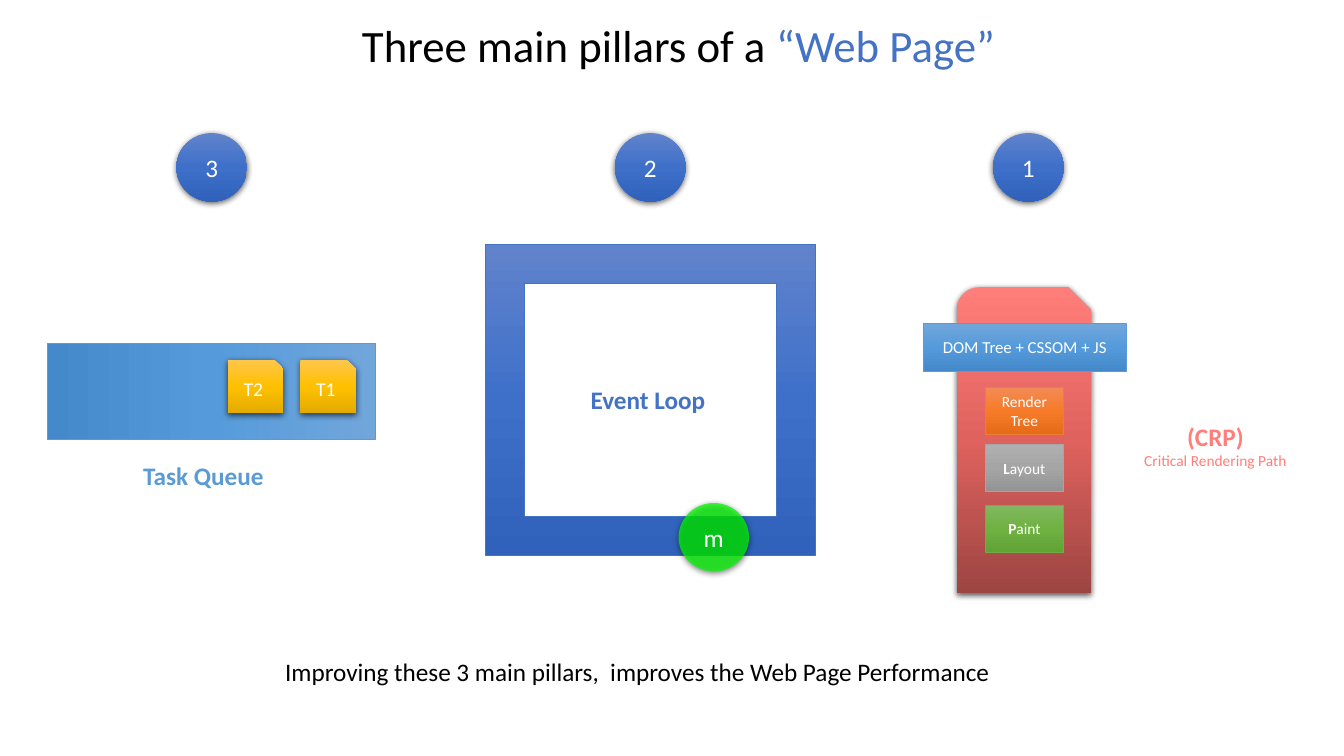
from collections import namedtuple
from lxml.etree import SubElement
from pptx import Presentation
from pptx.dml.color import RGBColor
from pptx.enum.shapes import MSO_SHAPE as Shape
from pptx.enum.text import MSO_ANCHOR as Anchor, PP_ALIGN as Align
from pptx.oxml.ns import qn
from pptx.util import Inches, Pt

Box = namedtuple("Box", "left top width height")

FONT = "Calibri"
WHITE, BLACK = "FFFFFF", "000000"
BLUE, SKY, CORAL = "4472C4", "5B9BD5", "FF7E79"
BLUE_FADE = ("6183CB", "3E70CA", "3062BB")
SKY_FADE = ("71A6DB", "559BDB", "448ACA")
GOLD_FADE = ("FFC64B", "FFC000", "E3AB00")
CORAL_FADE = ("FF7E79", "DF625E", "9D4542")
BADGE_WIDTH, BADGE_HEIGHT = 0.7, 0.68


def color(value):
    return RGBColor.from_string(value)


def inner(box, left, top, width, height):
    return Box(box.left + left, box.top + top, width, height)


def add_fade(shape, colors):
    shape.fill.gradient()
    shape.fill.gradient_angle = 270
    stops = shape._element.spPr.find(qn("a:gradFill")).find(qn("a:gsLst"))
    for stop in list(stops):
        stops.remove(stop)
    for index, value in enumerate(colors):
        stop = SubElement(stops, qn("a:gs"), pos=str(index * 50000))
        SubElement(stop, qn("a:srgbClr"), val=value)


def add_shadow(shape):
    effects = shape._element.spPr.find(qn("a:effectLst"))
    outer = SubElement(effects, qn("a:outerShdw"), blurRad=str(Pt(4.5)),
                       dist=str(Pt(1.5)), dir="5400000", rotWithShape="0")
    tint = SubElement(outer, qn("a:srgbClr"), val=BLACK)
    SubElement(tint, qn("a:alpha"), val="63000")


def write(para, spans, size, ink, bold=None, align=Align.CENTER):
    para.alignment = align
    para.font.name = FONT
    para.font.size = Pt(size)
    para.font.color.rgb = color(ink)
    para.font.bold = bold
    for text, is_bold in spans:
        span = para.add_run()
        span.text = text
        if is_bold:
            span.font.bold = True


def add_block(page, kind, box, fade=None, line=None, shadow=False, spans=(), size=18):
    shape = page.shapes.add_shape(kind, *map(Inches, box))
    shape.shadow.inherit = False
    if fade:
        add_fade(shape, fade)
    if line:
        shape.line.color.rgb = color(line)
        shape.line.width = Pt(0.5)
    else:
        shape.line.fill.background()
    if shadow:
        add_shadow(shape)
    if spans:
        shape.text_frame.vertical_anchor = Anchor.MIDDLE
        write(shape.text_frame.paragraphs[0], spans, size, WHITE)
    return shape


def add_label(page, box, text, ink, bold=None, align=Align.LEFT):
    frame = page.shapes.add_textbox(*map(Inches, box)).text_frame
    frame.word_wrap = False
    write(frame.paragraphs[0], [(text, False)], 18, ink, bold, align)
    return frame


def add_title(page, box):
    frame = page.shapes.add_textbox(*map(Inches, box)).text_frame
    frame.word_wrap = True
    frame.vertical_anchor = Anchor.MIDDLE
    para = frame.paragraphs[0]
    para.line_spacing = 0.9
    write(para, [("Three main pillars of a ", False), ("“Web Page”", False)], 32, BLACK)
    para.runs[1].font.color.rgb = color(BLUE)


def add_badge(page, box, number):
    add_block(page, Shape.OVAL, box, BLUE_FADE, shadow=True, spans=[(number, False)])


def add_task_queue(page, box):
    length, depth = box.width, 0.95
    offset = (length - depth) / 2
    lane = add_block(page, Shape.RECTANGLE, inner(box, offset, -offset, depth, length),
                     SKY_FADE, SKY)
    lane.rotation = 90
    for index, task in enumerate(("T2", "T1")):
        add_block(page, Shape.SNIP_1_RECTANGLE,
                  inner(box, 1.79 + 0.72 * index, 0.16, 0.55, 0.53),
                  GOLD_FADE, shadow=True, spans=[(task, False)], size=14)
    add_label(page, inner(box, 0.85, 1.11, 1.41, 0.4), "Task Queue", SKY, True)


def add_event_loop(page, box):
    add_block(page, Shape.FRAME, box, BLUE_FADE, BLUE)
    marker = add_block(page, Shape.OVAL,
                       inner(box, 1.92, 2.57, BADGE_WIDTH, BADGE_HEIGHT),
                       shadow=True, spans=[("m", False)])
    marker.fill.solid()
    marker.fill.fore_color.rgb = color("00FA00")
    tint = marker._element.spPr.find(qn("a:solidFill")).find(qn("a:srgbClr"))
    SubElement(tint, qn("a:alpha"), val="73000")
    add_label(page, inner(box, 0.95, 1.34, 1.35, 0.4), "Event Loop", BLUE, True)


def add_rendering_path(page, box):
    add_block(page, Shape.SNIP_ROUND_RECTANGLE, inner(box, 0.33, 0, 1.33, box.height),
              CORAL_FADE, shadow=True)
    steps = [
        (0.99, [("Render Tree", False)], ("F18C57", "F67B28", "E56C19"), "ED7D31"),
        (1.56, [("L", True), ("ayout", False)], ("AFAFAF", "A5A5A5", "939393"), "A5A5A5"),
        (2.16, [("P", True), ("aint", False)], ("81B861", "6FB242", "62A336"), "70AD47"),
    ]
    for top, spans, fade, line in steps:
        add_block(page, Shape.RECTANGLE, inner(box, 0.61, top, 0.78, 0.47),
                  fade, line, spans=spans, size=11)
    add_block(page, Shape.RECTANGLE, inner(box, 0, 0.36, 2.01, 0.47), SKY_FADE, SKY,
              spans=[("DOM Tree + CSSOM + JS", False)], size=12)
    caption = add_label(page, inner(box, 2.08, 1.28, 1.63, 0.59), "(CRP)", CORAL, True,
                        Align.CENTER)
    write(caption.add_paragraph(), [("Critical Rendering Path", False)], 11, CORAL)


def main():
    deck = Presentation()
    deck.slide_width, deck.slide_height = Inches(13.33), Inches(7.5)
    page = deck.slides.add_slide(deck.slide_layouts[6])
    add_rendering_path(page, Box(9.16, 2.85, 3.71, 3.03))
    add_task_queue(page, Box(0.47, 3.41, 3.25, 1.51))
    add_event_loop(page, Box(4.81, 2.42, 3.28, 3.09))
    add_title(page, Box(0.98, 0.17, 11.5, 0.62))
    for number, center in (("1", 10.2), ("2", 6.45), ("3", 2.1)):
        add_badge(page, Box(center - BADGE_WIDTH / 2, 1.32, BADGE_WIDTH, BADGE_HEIGHT), number)
    add_label(page, Box(2.73, 6.46, 7.27, 0.4),
              "Improving these 3 main pillars,  improves the Web Page Performance", BLACK)
    deck.save("out.pptx")


if __name__ == "__main__":
    main()
